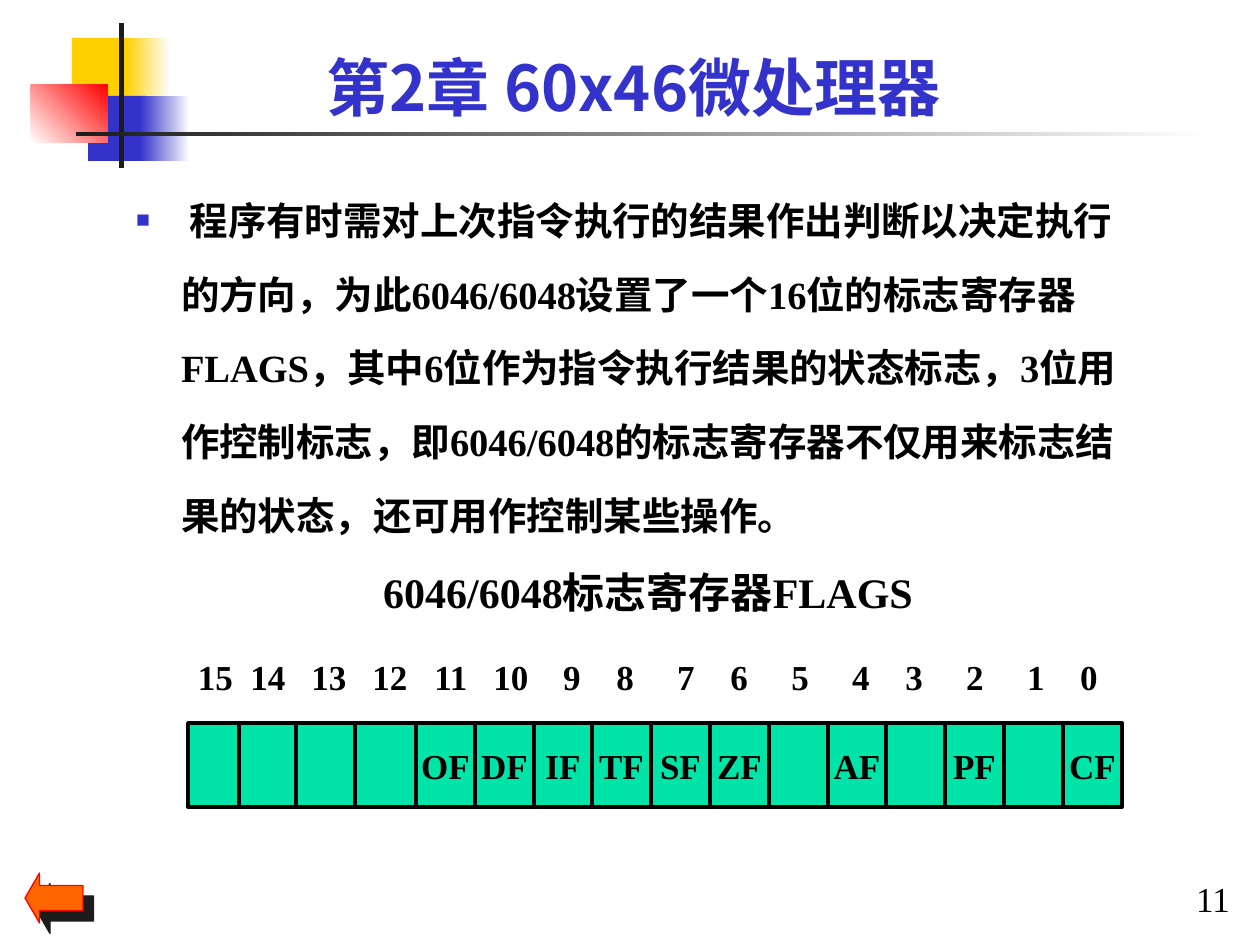
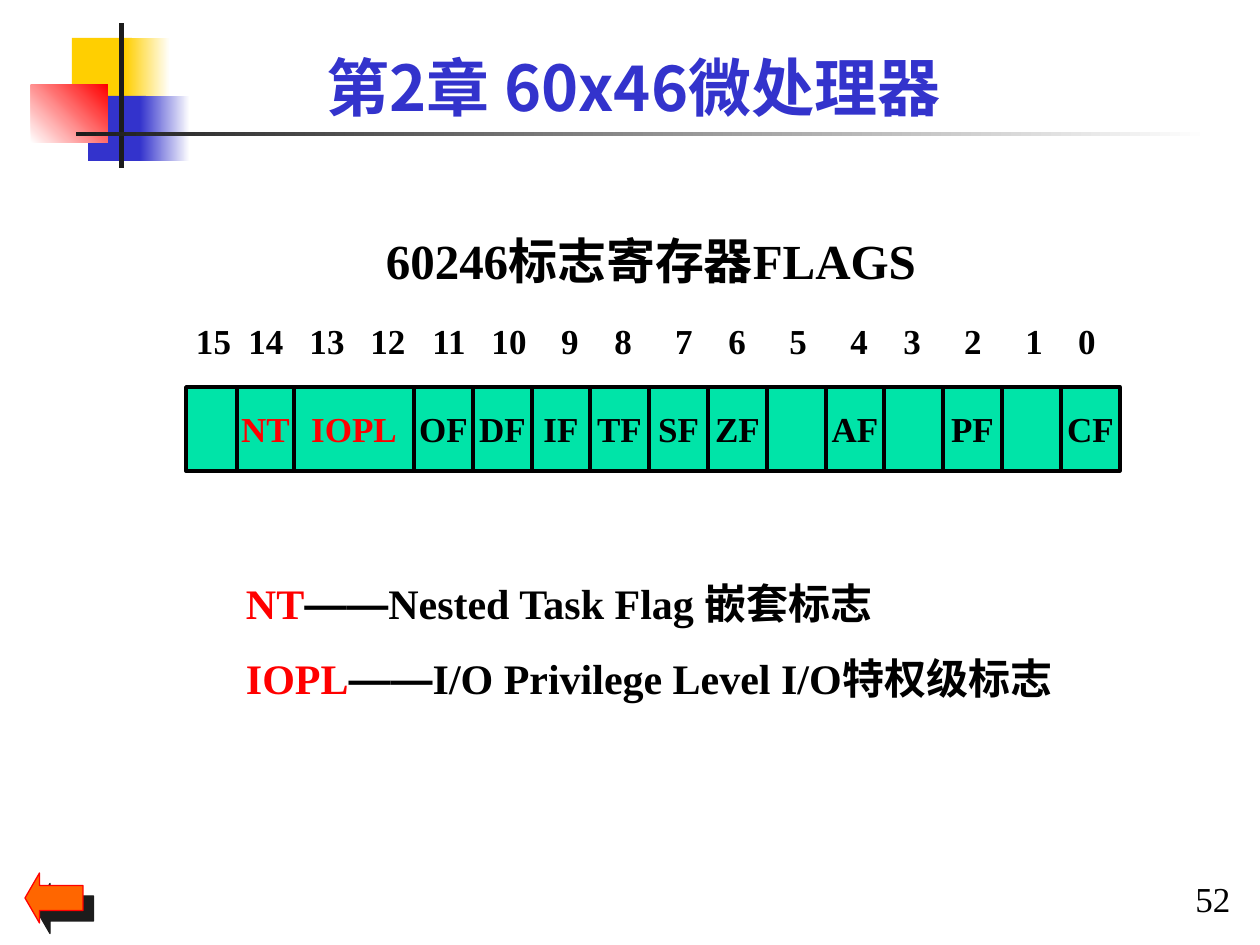
from lxml import etree
from pptx import Presentation
from pptx.dml.color import RGBColor
from pptx.enum.shapes import MSO_SHAPE
from pptx.enum.text import MSO_ANCHOR, MSO_AUTO_SIZE, PP_ALIGN
from pptx.oxml.ns import qn
from pptx.util import Pt

RECTANGLE = MSO_SHAPE.RECTANGLE
LEFT_ARROW = MSO_SHAPE.LEFT_ARROW
TOP, MIDDLE = MSO_ANCHOR.TOP, MSO_ANCHOR.MIDDLE
LEFT, CENTER = PP_ALIGN.LEFT, PP_ALIGN.CENTER
NO_AUTOFIT = MSO_AUTO_SIZE.NONE

BLACK = RGBColor(0x00, 0x00, 0x00)
WHITE = RGBColor(0xFF, 0xFF, 0xFF)
CHARCOAL = RGBColor(0x1C, 0x1C, 0x1C)
YELLOW = RGBColor(0xFF, 0xCF, 0x01)
BLUE = RGBColor(0x33, 0x33, 0xCC)
RED = RGBColor(0xFF, 0x00, 0x00)
ORANGE = RGBColor(0xFF, 0x66, 0x00)
GREEN = RGBColor(0x00, 0xE4, 0xA8)

SERIF = "Times New Roman"
SANS = "Arial"
CHINESE = "Noto Sans CJK SC"

EMU_PER_PX = 914400 / 126
TITLE_ONLY = 5
CHAPTER = "第2章 60x46微处理器"

ORNAMENTS = [
    ((72, 38, 60, 66), YELLOW, None, 0),
    ((125, 38, 45, 66), YELLOW, WHITE, 0),
    ((88, 96, 58, 65), BLUE, None, 0),
    ((140, 96, 50, 65), BLUE, WHITE, 0),
    ((31, 85, 77, 58), WHITE, RED, 45),
    ((119, 23, 5, 145), CHARCOAL, None, 0),
    ((76, 132, 1134, 4), CHARCOAL, WHITE, 0),
]

BIT_CENTERS = [215, 268, 329, 390, 451, 511, 572, 625,
               686, 739, 800, 861, 914, 975, 1036, 1089]
CELL_EDGES = [188, 239, 296, 355] + [round(416 + 58.8 * step) for step in range(13)]
CELL_HEIGHT = 84
COMMON_FLAGS = {11: "OF", 10: "DF", 9: "IF", 8: "TF", 7: "SF",
                6: "ZF", 4: "AF", 2: "PF", 0: "CF"}

FLAGS_TEXT = (
    " 程序有时需对上次指令执行的结果作出判断以决定执行的方向，"
    "为此6046/6048设置了一个16位的标志寄存器FLAGS，"
    "其中6位作为指令执行结果的状态标志，3位用作控制标志，"
    "即6046/6048的标志寄存器不仅用来标志结果的状态，还可用作控制某些操作。"
)
NEW_FLAGS = [
    ("NT", "Nested Task Flag 嵌套标志"),
    ("IOPL", "I/O Privilege Level I/O特权级标志"),
]


def px(length):
    return round(length * EMU_PER_PX)


def place(box):
    return [px(length) for length in box]


def format_run(run, size, color=BLACK, font=SERIF, bold=True):
    run.font.name = font
    run.font.size = Pt(size)
    run.font.bold = bold
    run.font.color.rgb = color
    properties = run._r.get_or_add_rPr()
    etree.SubElement(properties, qn("a:ea")).set("typeface", CHINESE)


def set_frame(text_frame, anchor, wrap=True):
    text_frame.margin_left = text_frame.margin_right = 0
    text_frame.margin_top = text_frame.margin_bottom = 0
    text_frame.auto_size = NO_AUTOFIT
    text_frame.word_wrap = wrap
    text_frame.vertical_anchor = anchor


def set_text(shape, text, size, align=CENTER, anchor=MIDDLE, wrap=True,
             spacing=None, **style):
    text_frame = shape.text_frame
    set_frame(text_frame, anchor, wrap)
    text_frame.text = text
    paragraph = text_frame.paragraphs[0]
    paragraph.alignment = align
    if spacing:
        paragraph.line_spacing = spacing
    format_run(paragraph.runs[0], size, **style)
    return paragraph


def add_text(slide, box, text, size, **options):
    return set_text(slide.shapes.add_textbox(*place(box)), text, size, **options)


def add_plain_shape(slide, kind, box, color, line=None, width=0):
    shape = slide.shapes.add_shape(kind, *place(box))
    shape.shadow.inherit = False
    shape.fill.solid()
    shape.fill.fore_color.rgb = color
    if line is None:
        shape.line.fill.background()
    else:
        shape.line.color.rgb = line
        shape.line.width = Pt(width)
    return shape


def add_ornament(slide, box, color, end_color, angle):
    shape = add_plain_shape(slide, RECTANGLE, box, color)
    if end_color is not None:
        shape.fill.gradient()
        shape.fill.gradient_angle = angle
        for stop, stop_color in zip(shape.fill.gradient_stops, (color, end_color)):
            stop.color.rgb = stop_color


def add_back_arrow(slide):
    arrow = add_plain_shape(slide, LEFT_ARROW, (25, 873, 58, 50), ORANGE, RED, 0.75)
    arrow.adjustments[0] = 0.5
    arrow.adjustments[1] = 0.29
    effects = arrow._element.spPr.find(qn("a:effectLst"))
    shadow = etree.SubElement(effects, qn("a:outerShdw"), blurRad="0",
                              dist=str(Pt(8.5)), dir="2700000", algn="ctr",
                              rotWithShape="0")
    etree.SubElement(shadow, qn("a:srgbClr"), val=str(CHARCOAL))


def add_chapter_slide(presentation, number):
    slide = presentation.slides.add_slide(presentation.slide_layouts[TITLE_ONLY])
    for ornament in ORNAMENTS:
        add_ornament(slide, *ornament)
    title = slide.shapes.title
    title.left, title.top, title.width, title.height = place((181, 48, 905, 76))
    set_text(title, CHAPTER, 36, anchor=TOP, color=BLUE, font=CHINESE)
    add_text(slide, (1188, 877, 50, 43), number, 20, wrap=False, bold=False)
    add_back_arrow(slide)
    return slide


def add_bit_numbers(slide, top, shift):
    left = 198 + shift
    numbers = "\t".join(str(bit) for bit in reversed(range(16)))
    paragraph = add_text(slide, (left, top, 914, 53), numbers, 20, align=LEFT)
    tabs = etree.SubElement(paragraph._p.get_or_add_pPr(), qn("a:tabLst"))
    for center in BIT_CENTERS[1:]:
        etree.SubElement(tabs, qn("a:tab"), pos=str(px(center - 198)), algn="ctr")


def add_register(slide, top, flags, shift=0, wide_bits=(), new_bits=()):
    add_bit_numbers(slide, top - 73, shift)
    bit = 15
    while bit >= 0:
        span = 2 if bit in wide_bits else 1
        first = 15 - bit
        left, right = CELL_EDGES[first], CELL_EDGES[first + span]
        cell = add_plain_shape(slide, RECTANGLE,
                               (left + shift, top, right - left, CELL_HEIGHT),
                               GREEN, BLACK, 2)
        if bit in flags:
            color = RED if bit in new_bits else BLACK
            set_text(cell, flags[bit], 20, wrap=False, color=color)
        bit -= span


def add_bulleted_text(slide, box, text):
    paragraph = add_text(slide, box, text, 22, align=LEFT, anchor=TOP, spacing=1.6)
    properties = paragraph._p.get_or_add_pPr()
    properties.set("marL", str(px(60)))
    properties.set("indent", str(px(-45)))
    bullet_color = etree.SubElement(properties, qn("a:buClr"))
    etree.SubElement(bullet_color, qn("a:srgbClr"), val=str(BLUE))
    etree.SubElement(properties, qn("a:buSzPct"), val="60000")
    etree.SubElement(properties, qn("a:buFont"), typeface=SERIF)
    etree.SubElement(properties, qn("a:buChar"), char="■")


def add_flag_meanings(slide, box, meanings):
    text_frame = slide.shapes.add_textbox(*place(box)).text_frame
    set_frame(text_frame, TOP)
    for index, (flag, meaning) in enumerate(meanings):
        paragraph = text_frame.add_paragraph() if index else text_frame.paragraphs[0]
        paragraph.line_spacing = 1.5
        properties = paragraph._p.get_or_add_pPr()
        properties.set("marL", str(px(48)))
        properties.set("indent", str(px(-48)))
        for text, color, font in ((flag, RED, SERIF), ("——", BLACK, SANS),
                                  (meaning, BLACK, SERIF)):
            run = paragraph.add_run()
            run.text = text
            format_run(run, 24, color, font)


def build_basic_flags_slide(presentation):
    slide = add_chapter_slide(presentation, "11")
    add_bulleted_text(slide, (121, 169, 1028, 369), FLAGS_TEXT)
    add_text(slide, (205, 556, 886, 60), "6046/6048标志寄存器FLAGS", 24,
             anchor=TOP, spacing=1.2)
    add_register(slide, 723, COMMON_FLAGS)


def build_extended_flags_slide(presentation):
    slide = add_chapter_slide(presentation, "52")
    add_text(slide, (192, 219, 918, 71), "60246标志寄存器FLAGS", 28,
             anchor=TOP, spacing=1.2)
    flags = {14: "NT", 13: "IOPL", **COMMON_FLAGS}
    add_register(slide, 387, flags, shift=-2, wide_bits=(13,), new_bits=(14, 13))
    add_flag_meanings(slide, (246, 552, 815, 227), NEW_FLAGS)


def main():
    presentation = Presentation()
    presentation.slide_width = px(1260)
    presentation.slide_height = px(945)
    build_basic_flags_slide(presentation)
    build_extended_flags_slide(presentation)
    presentation.save("out.pptx")


if __name__ == "__main__":
    main()
